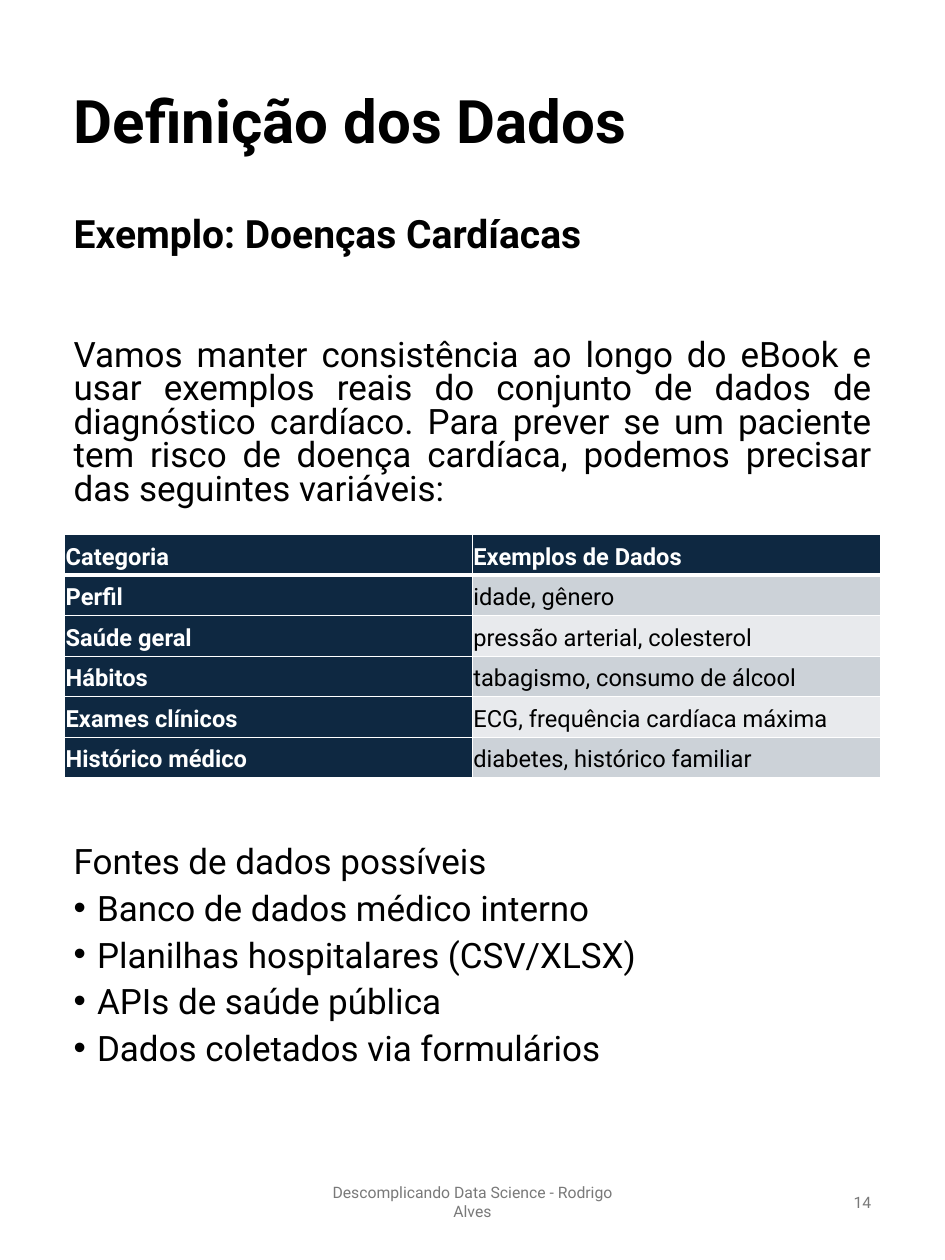
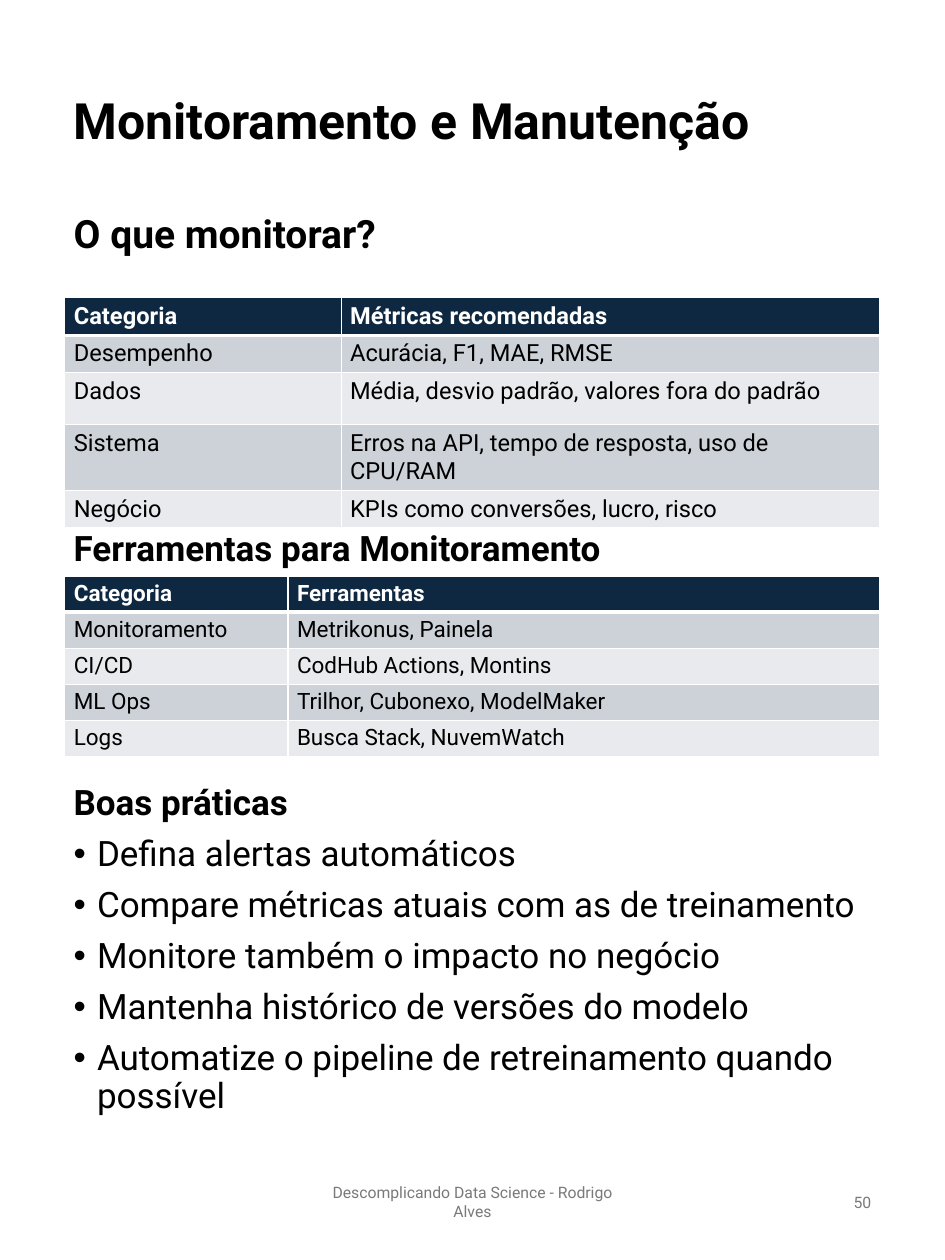
from dataclasses import dataclass

import lxml.etree
import pptx
import pptx.dml.color
import pptx.enum.text
import pptx.oxml.ns
import pptx.presentation
import pptx.slide
import pptx.table
import pptx.text.text
import pptx.util

Inches = pptx.util.Inches
Pt = pptx.util.Pt
Align = pptx.enum.text.PP_ALIGN
Anchor = pptx.enum.text.MSO_ANCHOR
qn = pptx.oxml.ns.qn

FONT = "Roboto"
COLORS = {
    "text": "000000",
    "white": "FFFFFF",
    "navy": "0E2841",
    "band_dark": "CCD2D8",
    "band_light": "E8EAED",
    "footer": "797979",
}
MARGIN = 0.72
CONTENT_WIDTH = 9.06
FOOTER_TOP = 12.98
FOOTER_HEIGHT = 0.75
FOOTER_SIZE = 12.6
BULLET_INDENT = 0.26
FOOTER = "Descomplicando Data Science - Rodrigo Alves"


@dataclass(frozen=True)
class Line:
    text: str
    size: float = 28
    bold: bool = False
    color: str = "text"
    align: Align = Align.LEFT
    line_spacing: float = 1.0
    space_before: float = 0
    space_after: float = 0
    bullet: bool = False


@dataclass(frozen=True)
class TextBlock:
    top: float
    height: float
    lines: list[Line]


@dataclass(frozen=True)
class TableBlock:
    top: float
    column_widths: list[float]
    row_heights: list[float]
    rows: list[tuple[str, str]]
    size: float = 18.9
    anchor: Anchor = Anchor.TOP
    inset: float | None = None
    line_spacing: float = 1.0
    space_after: float = 0
    first_column: bool = False


@dataclass(frozen=True)
class Page:
    title: str
    title_size: float
    subtitle: str
    number: int
    texts: list[TextBlock]
    tables: list[TableBlock]


def rgb(name: str) -> pptx.dml.color.RGBColor:
    return pptx.dml.color.RGBColor.from_string(COLORS[name])


def add_bullet(paragraph: pptx.text.text._Paragraph) -> None:
    properties = paragraph._p.get_or_add_pPr()
    indent = Inches(BULLET_INDENT)
    properties.set("marL", str(indent))
    properties.set("indent", str(-indent))
    lxml.etree.SubElement(properties, qn("a:buFont"), typeface="Arial")
    lxml.etree.SubElement(properties, qn("a:buChar"), char="•")


def write_lines(frame: pptx.text.text.TextFrame, lines: list[Line]) -> None:
    for index, line in enumerate(lines):
        paragraph = frame.add_paragraph() if index else frame.paragraphs[0]
        paragraph.alignment = line.align
        paragraph.line_spacing = line.line_spacing
        paragraph.space_before = Pt(line.space_before)
        paragraph.space_after = Pt(line.space_after)
        if line.bullet:
            add_bullet(paragraph)
        run = paragraph.add_run()
        run.text = line.text
        run.font.name = FONT
        run.font.size = Pt(line.size)
        run.font.bold = line.bold
        run.font.color.rgb = rgb(line.color)


def add_text(slide: pptx.slide.Slide, left: float, top: float, width: float,
             height: float, lines: list[Line], anchor: Anchor = Anchor.TOP) -> None:
    shape = slide.shapes.add_textbox(
        Inches(left), Inches(top), Inches(width), Inches(height))
    shape.text_frame.word_wrap = True
    shape.text_frame.vertical_anchor = anchor
    write_lines(shape.text_frame, lines)


def set_title(slide: pptx.slide.Slide, text: str, size: float) -> None:
    title = slide.shapes.title
    title.left, title.top = Inches(MARGIN), Inches(0.75)
    title.width, title.height = Inches(CONTENT_WIDTH), Inches(1.25)
    title.text_frame.word_wrap = True
    title.text_frame.auto_size = pptx.enum.text.MSO_AUTO_SIZE.NONE
    title.text_frame.vertical_anchor = Anchor.MIDDLE
    write_lines(title.text_frame, [Line(text, size, True, line_spacing=0.9)])


def add_borders(cell: pptx.table._Cell, top: float, bottom: float) -> None:
    """Draw white borders; only the horizontal ones vary in width."""
    properties = cell._tc.get_or_add_tcPr()
    for side, width in (("L", 1), ("R", 1), ("T", top), ("B", bottom)):
        border = lxml.etree.SubElement(
            properties, qn(f"a:ln{side}"), w=str(Pt(width)))
        fill = lxml.etree.SubElement(border, qn("a:solidFill"))
        lxml.etree.SubElement(fill, qn("a:srgbClr"), val=COLORS["white"])


def add_table(slide: pptx.slide.Slide, block: TableBlock) -> None:
    table = slide.shapes.add_table(
        len(block.rows), len(block.column_widths), Inches(MARGIN),
        Inches(block.top), Inches(sum(block.column_widths)),
        Inches(sum(block.row_heights))).table
    table.first_col = block.first_column
    for column, width in zip(table.columns, block.column_widths):
        column.width = Inches(width)
    for row_index, texts in enumerate(block.rows):
        table.rows[row_index].height = Inches(block.row_heights[row_index])
        for column_index, text in enumerate(texts):
            cell = table.cell(row_index, column_index)
            heading = row_index == 0 or (block.first_column and column_index == 0)
            band = "band_dark" if row_index % 2 else "band_light"
            if block.inset is not None:
                cell.margin_left = cell.margin_right = Inches(block.inset)
                cell.margin_top = cell.margin_bottom = Inches(block.inset)
            cell.vertical_anchor = block.anchor
            add_borders(cell, top=3 if row_index == 1 else 1,
                        bottom=3 if row_index == 0 else 1)
            cell.fill.solid()
            cell.fill.fore_color.rgb = rgb("navy" if heading else band)
            write_lines(cell.text_frame, [Line(
                text, block.size, heading, "white" if heading else "text",
                line_spacing=block.line_spacing, space_after=block.space_after)])


def add_footer(slide: pptx.slide.Slide, number: int) -> None:
    for left, width, text, align in (
            (3.48, 3.54, FOOTER, Align.CENTER),
            (7.42, 2.36, str(number), Align.RIGHT)):
        line = Line(text, FOOTER_SIZE, color="footer", align=align)
        add_text(slide, left, FOOTER_TOP, width, FOOTER_HEIGHT, [line],
                 Anchor.MIDDLE)


def add_page(presentation: pptx.presentation.Presentation, page: Page) -> None:
    slide = presentation.slides.add_slide(
        presentation.slide_layouts.get_by_name("Title Only"))
    set_title(slide, page.title, page.title_size)
    for block in page.texts:
        add_text(slide, MARGIN, block.top, CONTENT_WIDTH, block.height, block.lines)
    add_text(slide, MARGIN, 2, CONTENT_WIDTH, 1.25,
             [Line(page.subtitle, 31.2, True, line_spacing=0.9)], Anchor.MIDDLE)
    for block in page.tables:
        add_table(slide, block)
    add_footer(slide, page.number)


def bulleted(heading: str, items: list[str], line_spacing: float,
             bold: bool) -> list[Line]:
    return [Line(heading, bold=bold, line_spacing=line_spacing, space_before=10.5)] + [
        Line(item, line_spacing=line_spacing, space_before=10.5, bullet=True)
        for item in items]


PAGES = [
    Page(
        "Definição dos Dados", 48, "Exemplo: Doenças Cardíacas", 14,
        texts=[
            TextBlock(3.73, 2.15, [Line(
                "Vamos manter consistência ao longo do eBook e usar exemplos reais "
                "do conjunto de dados de diagnóstico cardíaco. Para prever se um "
                "paciente tem risco de doença cardíaca, podemos precisar das "
                "seguintes variáveis:",
                align=Align.JUSTIFY, line_spacing=0.8, space_before=10.5)]),
            TextBlock(9.37, 3.24, bulleted("Fontes de dados possíveis", [
                "Banco de dados médico interno",
                "Planilhas hospitalares (CSV/XLSX)",
                "APIs de saúde pública",
                "Dados coletados via formulários",
            ], 0.8, bold=False)),
        ],
        tables=[TableBlock(5.94, [4.53, 4.53], [0.45] * 6, [
            ("Categoria", "Exemplos de Dados"),
            ("Perfil", "idade, gênero"),
            ("Saúde geral", "pressão arterial, colesterol"),
            ("Hábitos", "tabagismo, consumo de álcool"),
            ("Exames clínicos", "ECG, frequência cardíaca máxima"),
            ("Histórico médico", "diabetes, histórico familiar"),
        ], anchor=Anchor.MIDDLE, inset=0.01, line_spacing=1.15, space_after=8,
            first_column=True)],
    ),
    Page(
        "Monitoramento e Manutenção", 40, "O que monitorar?", 50,
        texts=[
            TextBlock(5.85, 0.53, [Line(
                "Ferramentas para Monitoramento", bold=True, line_spacing=0.9)]),
            TextBlock(8.68, 3.93, bulleted("Boas práticas", [
                "Defina alertas automáticos",
                "Compare métricas atuais com as de treinamento",
                "Monitore também o impacto no negócio",
                "Mantenha histórico de versões do modelo",
                "Automatize o pipeline de retreinamento quando possível",
            ], 0.9, bold=True)),
        ],
        tables=[
            TableBlock(3.31, [3.07, 5.98], [0.33, 0.33, 0.58, 0.58, 0.33], [
                ("Categoria", "Métricas recomendadas"),
                ("Desempenho", "Acurácia, F1, MAE, RMSE"),
                ("Dados", "Média, desvio padrão, valores fora do padrão"),
                ("Sistema", "Erros na API, tempo de resposta, uso de CPU/RAM"),
                ("Negócio", "KPIs como conversões, lucro, risco"),
            ]),
            TableBlock(6.4, [2.48, 6.57], [0.34] * 5, [
                ("Categoria", "Ferramentas"),
                ("Monitoramento", "Metrikonus, Painela"),
                ("CI/CD", "CodHub Actions, Montins"),
                ("ML Ops", "Trilhor, Cubonexo, ModelMaker"),
                ("Logs", "Busca Stack, NuvemWatch"),
            ], size=18, anchor=Anchor.MIDDLE),
        ],
    ),
]


def main() -> None:
    presentation = pptx.Presentation()
    presentation.slide_width = Inches(10.5)
    presentation.slide_height = Inches(14)
    for page in PAGES:
        add_page(presentation, page)
    presentation.save("out.pptx")


if __name__ == "__main__":
    main()
